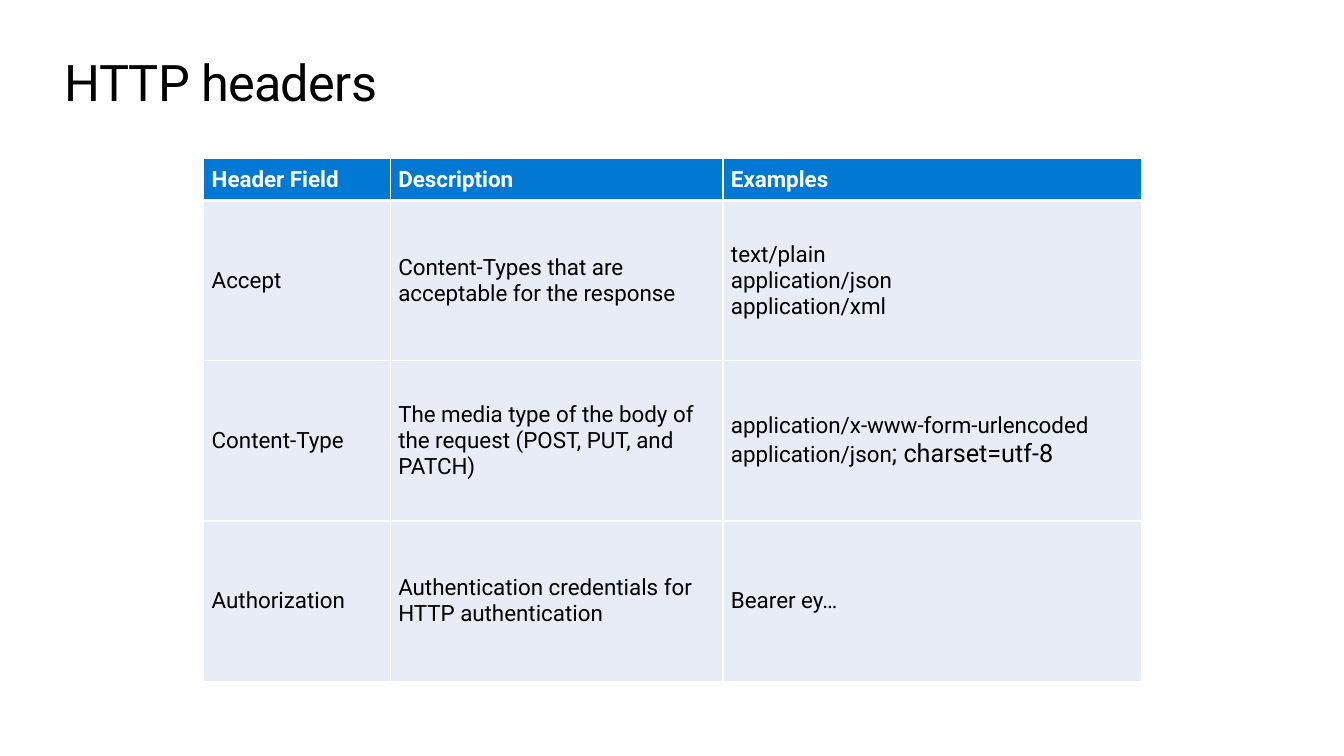
import pptx
import pptx.util
import pptx.dml.color
import pptx.enum.text
import pptx.oxml
import pptx.oxml.ns

BLUE = pptx.dml.color.RGBColor(0x00, 0x78, 0xD4)
PALE = pptx.dml.color.RGBColor(0xE7, 0xEC, 0xF7)
WHITE = pptx.dml.color.RGBColor(0xFF, 0xFF, 0xFF)
BLACK = pptx.dml.color.RGBColor(0x00, 0x00, 0x00)
FACE = "Roboto"
MID = pptx.enum.text.MSO_ANCHOR.MIDDLE
LEFT = pptx.enum.text.PP_ALIGN.LEFT
INCH = pptx.util.Inches

WIDTHS = [1.85, 3.3, 4.15]
HEIGHTS = [0.42] + [1.59] * 3
ROWS = [
    ["Header Field", "Description", "Examples"],
    ["Accept", "Content-Types that are acceptable for the response",
     "text/plain\napplication/json\napplication/xml"],
    ["Content-Type",
     "The media type of the body of the request (POST, PUT, and PATCH)",
     "application/x-www-form-urlencoded\napplication/json"],
    ["Authorization", "Authentication credentials for HTTP authentication",
     "Bearer ey…"],
]


def style(frame, size, color, bold):
    for para in frame.paragraphs:
        para.alignment = LEFT
        para.font.name = FACE
        para.font.size = pptx.util.Pt(size)
        para.font.color.rgb = color
        para.font.bold = bold


def border(cell, sides):
    props = cell._tc.get_or_add_tcPr()
    for spot, (side, width) in enumerate(sides.items()):
        line = pptx.oxml.parse_xml(
            f'<a:{side} {pptx.oxml.ns.nsdecls("a")} w="{pptx.util.Pt(width)}">'
            f'<a:solidFill><a:srgbClr val="{WHITE}"/></a:solidFill></a:{side}>')
        props.insert(spot, line)


deck = pptx.Presentation()
deck.slide_width = INCH(13.33)
deck.slide_height = INCH(7.5)
slide = deck.slides.add_slide(deck.slide_layouts[5])

title = slide.shapes.title
title.left, title.top = INCH(0.64), INCH(0.5)
title.width, title.height = INCH(12.05), INCH(0.61)
frame = title.text_frame
frame.text = "HTTP headers"
frame.word_wrap = True
frame.auto_size = pptx.enum.text.MSO_AUTO_SIZE.NONE
frame.vertical_anchor = MID
frame.margin_left = frame.margin_right = 0
frame.margin_top = frame.margin_bottom = 0
style(frame, 36, BLACK, False)
frame.paragraphs[0].runs[0].font._element.set("spc", "-50")

table = slide.shapes.add_table(
    len(HEIGHTS), len(WIDTHS), INCH(2.02), INCH(1.57),
    INCH(sum(WIDTHS)), INCH(sum(HEIGHTS))).table
table.horz_banding = False
for col, width in zip(table.columns, WIDTHS):
    col.width = INCH(width)
for row, height in zip(table.rows, HEIGHTS):
    row.height = INCH(height)

for r, row in enumerate(ROWS):
    head = r == 0
    for c, text in enumerate(row):
        cell = table.cell(r, c)
        cell.text = text
        cell.vertical_anchor = MID
        cell.margin_left = cell.margin_right = INCH(0.08)
        cell.margin_top = cell.margin_bottom = INCH(0.08)
        cell.fill.solid()
        cell.fill.fore_color.rgb = BLUE if head else PALE
        style(cell.text_frame, 16, WHITE if head else BLACK, head)
        border(cell, {"lnL": 1, "lnR": 1, "lnT": 3 if r == 1 else 1,
                      "lnB": 3 if head else 1})

tail = table.cell(2, 2).text_frame.paragraphs[-1].add_run()
tail.text = "; charset=utf-8"
tail.font.size = pptx.util.Pt(18)

deck.save("out.pptx")
